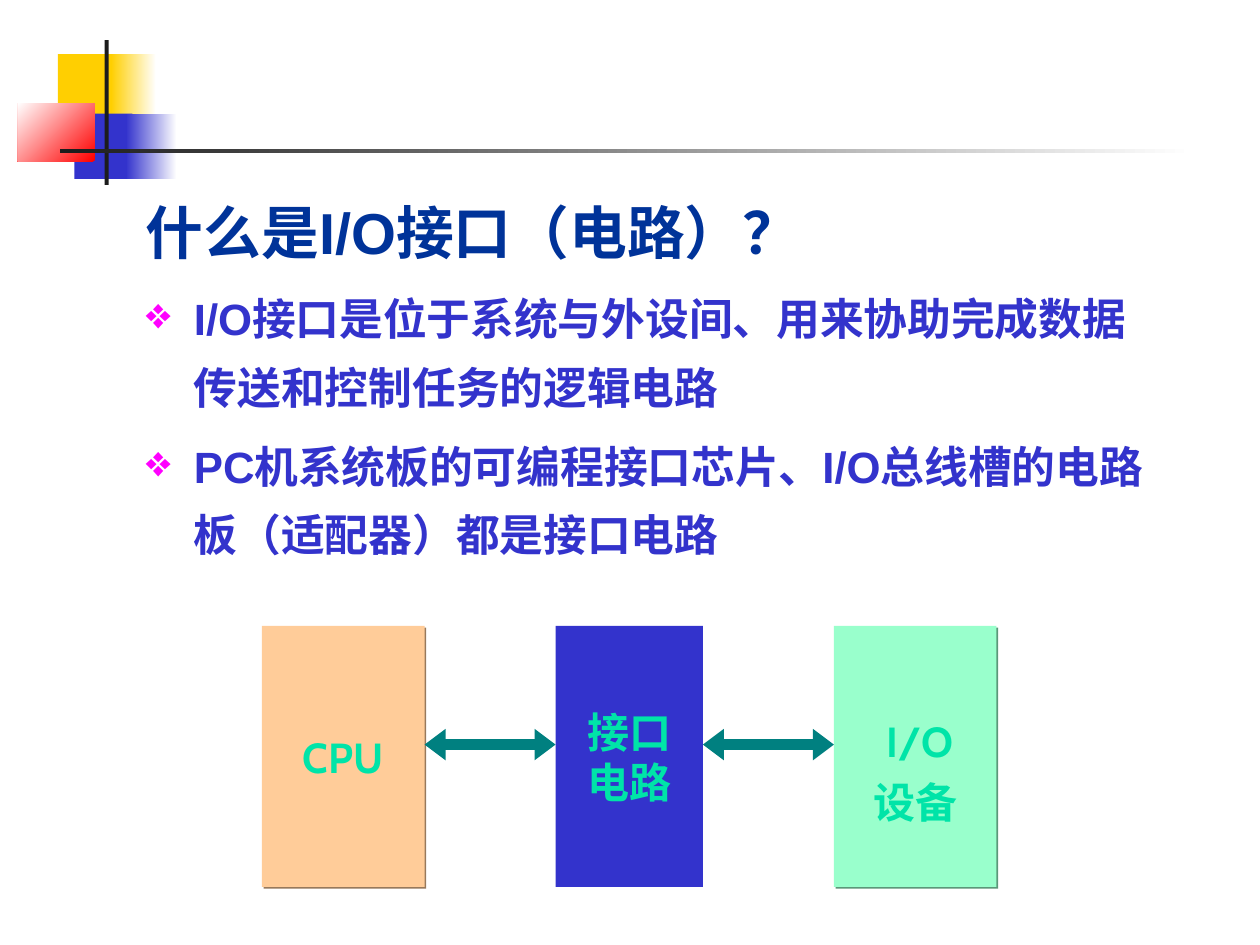
from lxml import etree
from pptx import Presentation
from pptx.dml.color import RGBColor
from pptx.enum.shapes import MSO_CONNECTOR, MSO_SHAPE
from pptx.enum.text import MSO_ANCHOR, PP_ALIGN
from pptx.oxml.ns import qn
from pptx.util import Cm, Pt

COLORS = {
    "white": "FFFFFF", "yellow": "FFCF01", "blue": "3333CC", "red": "FF0000",
    "ink": "1C1C1C", "title": "003399", "bullet": "FF00FF",
    "cpu": "FFCC99", "cpu_shadow": "98795B",
    "device": "99FFCC", "device_shadow": "5B9879",
    "label": "00E4A8", "arrow": "008080",
}


def rgb(name):
    return RGBColor.from_string(COLORS[name])


def add_xml(parent, tag, **attributes):
    return etree.SubElement(parent, qn(tag), attributes)


def add_block(slide, left, top, width, height, fill, fade_angle=None):
    """Add a borderless rectangle; with fade_angle it runs between white and fill."""
    shape = slide.shapes.add_shape(
        MSO_SHAPE.RECTANGLE, Cm(left), Cm(top), Cm(width), Cm(height))
    shape.shadow.inherit = False
    shape.line.fill.background()
    if fade_angle is None:
        shape.fill.solid()
        shape.fill.fore_color.rgb = rgb(fill)
    else:
        shape.fill.gradient()
        shape.fill.gradient_angle = fade_angle
        first, last = shape.fill.gradient_stops
        first.position, last.position = 0, 1
        names = (fill, "white") if fill == "red" else ("white", fill)
        first.color.rgb, last.color.rgb = map(rgb, names)
    return shape


def add_shadow(shape, color):
    effects = shape._element.spPr.find(qn("a:effectLst"))
    shadow = add_xml(effects, "a:outerShdw", dist=str(Pt(1.4)), dir="2700000",
                     algn="ctr", rotWithShape="0")
    add_xml(shadow, "a:srgbClr", val=COLORS[color])


def set_font(paragraph, name, size, color):
    font = paragraph.font
    font.name, font.size, font.bold = name, Pt(size), True
    font.color.rgb = rgb(color)


def write_label(shape, lines):
    frame = shape.text_frame
    frame.text = "\n".join(lines)
    for paragraph in frame.paragraphs:
        paragraph.alignment = PP_ALIGN.CENTER
        set_font(paragraph, "Cabin", 24, "label")
    return frame


def draw_ornament(slide, left, top):
    parts = [
        (0.81, 0.28, 1.22, 1.32, "yellow", None),
        (1.88, 0.28, 0.91, 1.32, "yellow", 180),
        (1.14, 1.48, 1.17, 1.32, "blue", None),
        (2.18, 1.48, 1.02, 1.32, "blue", 180),
        (0, 1.27, 1.55, 1.17, "red", 135),
        (1.75, 0, 0.08, 2.92, "ink", None),
        (0.86, 2.19, 22.86, 0.08, "ink", 180),
    ]
    for x, y, width, height, fill, angle in parts:
        add_block(slide, left + x, top + y, width, height, fill, angle)


def draw_text(slide, left, top, width, height):
    box = slide.shapes.add_textbox(Cm(left), Cm(top), Cm(width), Cm(height))
    frame = box.text_frame
    frame.word_wrap = True
    frame.margin_top = Cm(0.42)
    frame.text = "\n".join([
        "什么是I/O接口（电路）？",
        "I/O接口是位于系统与外设间、用来协助完成数据传送和控制任务的逻辑电路",
        "PC机系统板的可编程接口芯片、I/O总线槽的电路板（适配器）都是接口电路",
    ])
    hanging = Cm(0.97)
    for index, paragraph in enumerate(frame.paragraphs):
        paragraph.line_spacing = 1.3
        properties = paragraph._p.get_or_add_pPr()
        properties.set("marL", str(hanging))
        properties.set("indent", str(-hanging))
        if index == 0:
            add_xml(properties, "a:buNone")
            set_font(paragraph, "Arial", 33, "title")
        else:
            paragraph.space_before = Pt(6.2)
            bullet_color = add_xml(properties, "a:buClr")
            add_xml(bullet_color, "a:srgbClr", val=COLORS["bullet"])
            add_xml(properties, "a:buChar", char="❖")
            set_font(paragraph, "Arial", 25, "blue")


def add_arrow(slide, start, end, y):
    arrow = slide.shapes.add_connector(
        MSO_CONNECTOR.STRAIGHT, Cm(start), Cm(y), Cm(end), Cm(y))
    arrow.line.width = Pt(6)
    arrow.line.color.rgb = rgb("arrow")
    line = arrow.line._get_or_add_ln()
    for tag in ("a:headEnd", "a:tailEnd"):
        add_xml(line, tag, type="triangle", w="med", len="sm")
    add_xml(arrow._element.spPr, "a:effectLst")


def draw_diagram(slide, left, top, width, height):
    outer, middle = 3.28, 2.97
    gap = (width - 2 * outer - middle) / 2
    interface_left = left + outer + gap
    device_left = left + width - outer

    cpu = add_block(slide, left, top, outer, height, "cpu")
    add_shadow(cpu, "cpu_shadow")
    device = add_block(slide, device_left, top, outer, height, "device")
    add_shadow(device, "device_shadow")
    interface = add_block(slide, interface_left, top, middle, height, "blue")
    for shape, lines in ((cpu, ["CPU"]), (interface, ["接口", "电路"])):
        frame = write_label(shape, lines)
        frame.word_wrap = False
        frame.vertical_anchor = MSO_ANCHOR.MIDDLE

    device_label = slide.shapes.add_textbox(
        Cm(device_left), Cm(top + 1.42), Cm(outer), Cm(2.21))
    frame = write_label(device_label, [" I/O", "设备"])
    frame.word_wrap = True
    frame.margin_top = Cm(0.66)
    for paragraph in frame.paragraphs:
        paragraph.line_spacing = 0.7
    frame.paragraphs[1].space_before = Pt(15)

    for end in (interface_left, device_left):
        add_arrow(slide, end - gap, end, top + 2.39)


def main():
    presentation = Presentation()
    presentation.slide_width, presentation.slide_height = Cm(25.4), Cm(19.05)
    slide = presentation.slides.add_slide(presentation.slide_layouts[6])
    draw_ornament(slide, 0.36, 0.81)
    draw_text(slide, 2.69, 3.12, 20.7, 8.41)
    draw_diagram(slide, 5.28, 12.62, 14.81, 5.26)
    presentation.save("out.pptx")


if __name__ == "__main__":
    main()
